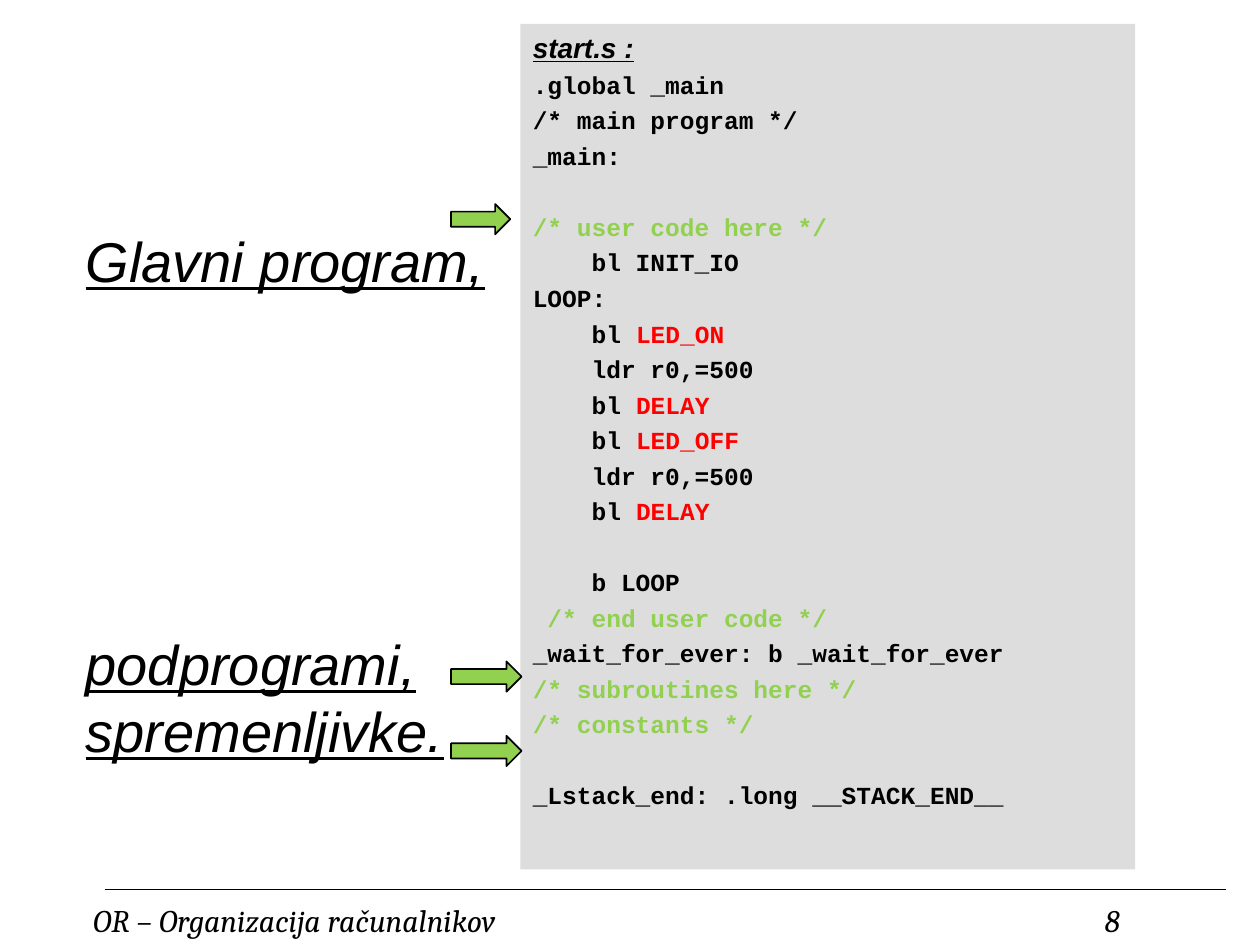
import pptx
import pptx.dml.color
import pptx.enum.shapes
import pptx.enum.text
import pptx.util
from lxml import etree

Inches = pptx.util.Inches
Pt = pptx.util.Pt
BLACK, GREEN, RED, GREY = "000000", "92D050", "FF0000", "DDDDDD"


def color(hex_text):
    return pptx.dml.color.RGBColor.from_string(hex_text)


class SlideBuilder:
    title_font = {"name": "Arial", "size": Pt(32), "italic": True, "underline": True}
    heading_font = {"name": "Arial", "size": Pt(16), "bold": True,
                    "italic": True, "underline": True}
    code_font = {"name": "Courier New", "size": Pt(14), "bold": True}
    footer_font = {"name": "Cambria", "size": Pt(18), "italic": True}

    def __init__(self, slide):
        self.slide = slide

    def paragraph(self, frame, runs, style, space_before=0):
        """Fill the empty first paragraph, or add one, with (text, colour) runs."""
        first = frame.paragraphs[0]
        line = frame.add_paragraph() if first.runs else first
        line.alignment = pptx.enum.text.PP_ALIGN.LEFT
        line.space_before = Pt(space_before)
        for text, hex_text in runs:
            run = line.add_run()
            run.text = text
            for name, value in style.items():
                setattr(run.font, name, value)
            run.font.color.rgb = color(hex_text)

    def title(self, left, top, width, height, lines):
        title = self.slide.shapes.title
        title.left, title.top = Inches(left), Inches(top)
        title.width, title.height = Inches(width), Inches(height)
        frame = title.text_frame
        frame.word_wrap = True
        frame.auto_size = pptx.enum.text.MSO_AUTO_SIZE.NONE
        frame.vertical_anchor = pptx.enum.text.MSO_ANCHOR.TOP
        frame.margin_top = Inches(0.65)
        for text, space_before in lines:
            self.paragraph(frame, [(text, BLACK)], self.title_font, space_before)

    def footer(self, left, top, width, height, text):
        box = self.slide.shapes.add_textbox(
            Inches(left), Inches(top), Inches(width), Inches(height))
        box.text_frame.word_wrap = True
        self.paragraph(box.text_frame, [(text, BLACK)], self.footer_font)

    def shape(self, kind, left, top, width, height, fill, outline=None):
        shape = self.slide.shapes.add_shape(
            kind, Inches(left), Inches(top), Inches(width), Inches(height))
        shape.shadow.inherit = False
        shape.fill.solid()
        shape.fill.fore_color.rgb = color(fill)
        if outline:
            shape.line.color.rgb = color(outline)
            shape.line.width = Pt(1)
        else:
            shape.line.fill.background()
        return shape

    def arrow(self, left, top, width, height):
        self.shape(pptx.enum.shapes.MSO_SHAPE.RIGHT_ARROW,
                   left, top, width, height, GREEN, BLACK)

    def code_panel(self, left, top, width, height, heading, blocks):
        panel = self.shape(pptx.enum.shapes.MSO_SHAPE.RECTANGLE,
                           left, top, width, height, GREY)
        frame = panel.text_frame
        frame.word_wrap = True
        frame.vertical_anchor = pptx.enum.text.MSO_ANCHOR.TOP
        frame.margin_top = Inches(0.05)
        self.paragraph(frame, [(heading, BLACK)], self.heading_font)
        line_gap, block_gap = 3.5, 23.8
        for block_index, block in enumerate(blocks):
            for line_index, runs in enumerate(block):
                starts_block = block_index > 0 and line_index == 0
                self.paragraph(frame, runs, self.code_font,
                               block_gap if starts_block else line_gap)

    def rule(self, left, right, y):
        line = self.slide.shapes.add_connector(
            pptx.enum.shapes.MSO_CONNECTOR.STRAIGHT,
            Inches(left), Inches(y), Inches(right), Inches(y))
        line.line.color.rgb = color(BLACK)
        line.line.width = Pt(1)
        etree.SubElement(line._element.spPr, pptx.oxml.ns.qn("a:effectLst"))


def plain(text):
    return [(text, BLACK)]


def comment(text):
    return [(text, GREEN)]


def call(routine):
    return [("    bl ", BLACK), (routine, RED)]


def main():
    deck = pptx.Presentation()
    deck.slide_width, deck.slide_height = Inches(10), Inches(7.5)
    page = SlideBuilder(deck.slides.add_slide(deck.slide_layouts[5]))

    # Footer
    page.footer(0.64, 7.1, 3.92, 0.4, "OR – Organizacija računalnikov")
    page.footer(8.67, 7.1, 1.33, 0.4, "8")
    page.rule(0.83, 9.73, 7.06)

    # Title, its parts level with the code they name
    page.title(0.58, 1.15, 3.55, 6.09, [
        ("Glavni program,", 0), ("podprogrami,", 191.8), ("spremenljivke.", 0)])

    # Assembly listing, in blocks set apart by a gap
    delay = plain("    ldr r0,=500"), call("DELAY")
    page.code_panel(4.13, 0.19, 4.88, 6.71, "start.s :", [
        [plain(".global _main"), plain("/* main program */"), plain("_main:")],
        [comment("/* user code here */"), plain("    bl INIT_IO"), plain("LOOP:"),
         call("LED_ON"), *delay, call("LED_OFF"), *delay],
        [plain("    b LOOP"), comment(" /* end user code */"),
         plain("_wait_for_ever: b _wait_for_ever"),
         comment("/* subroutines here */"), comment("/* constants */")],
        [plain("_Lstack_end: .long __STACK_END__")],
    ])

    # Arrows from the title to the code
    for top, width in ((1.62, 0.47), (5.25, 0.56), (5.84, 0.56)):
        page.arrow(3.58, top, width, 0.24)

    deck.save("out.pptx")


if __name__ == "__main__":
    main()
